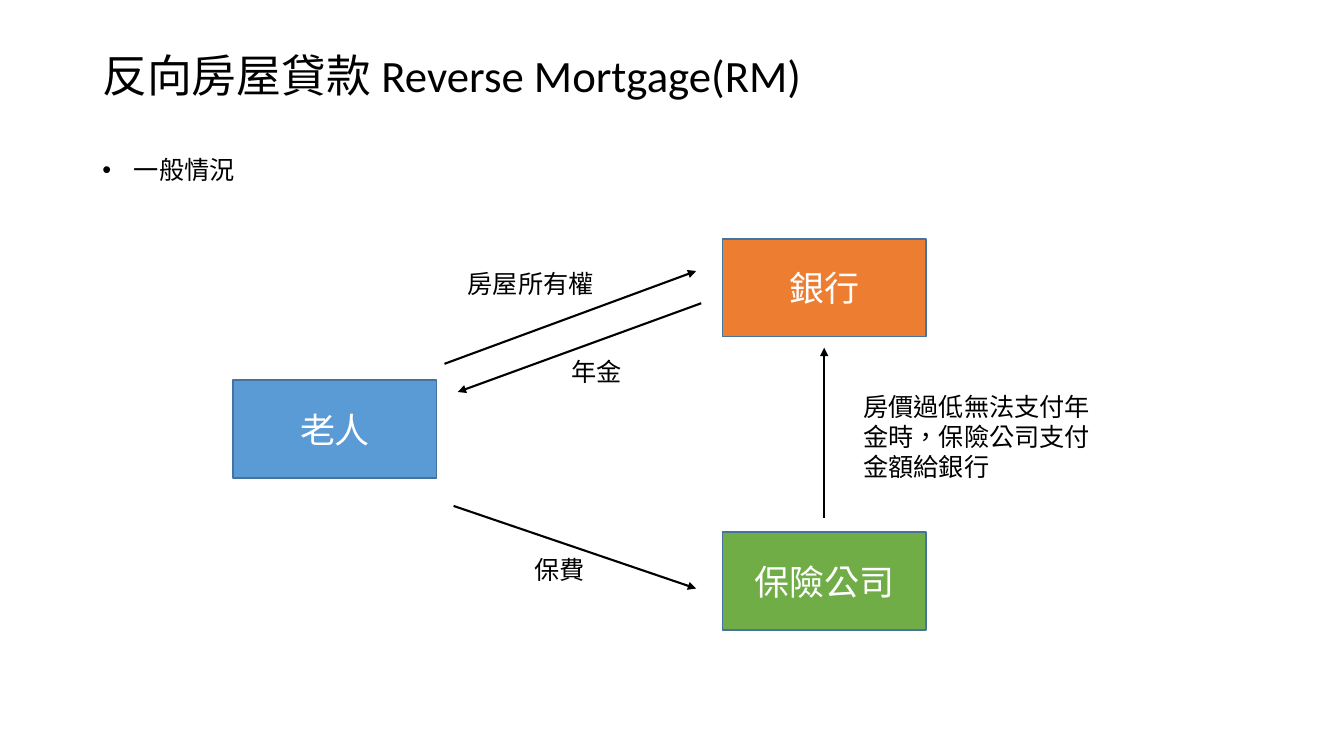
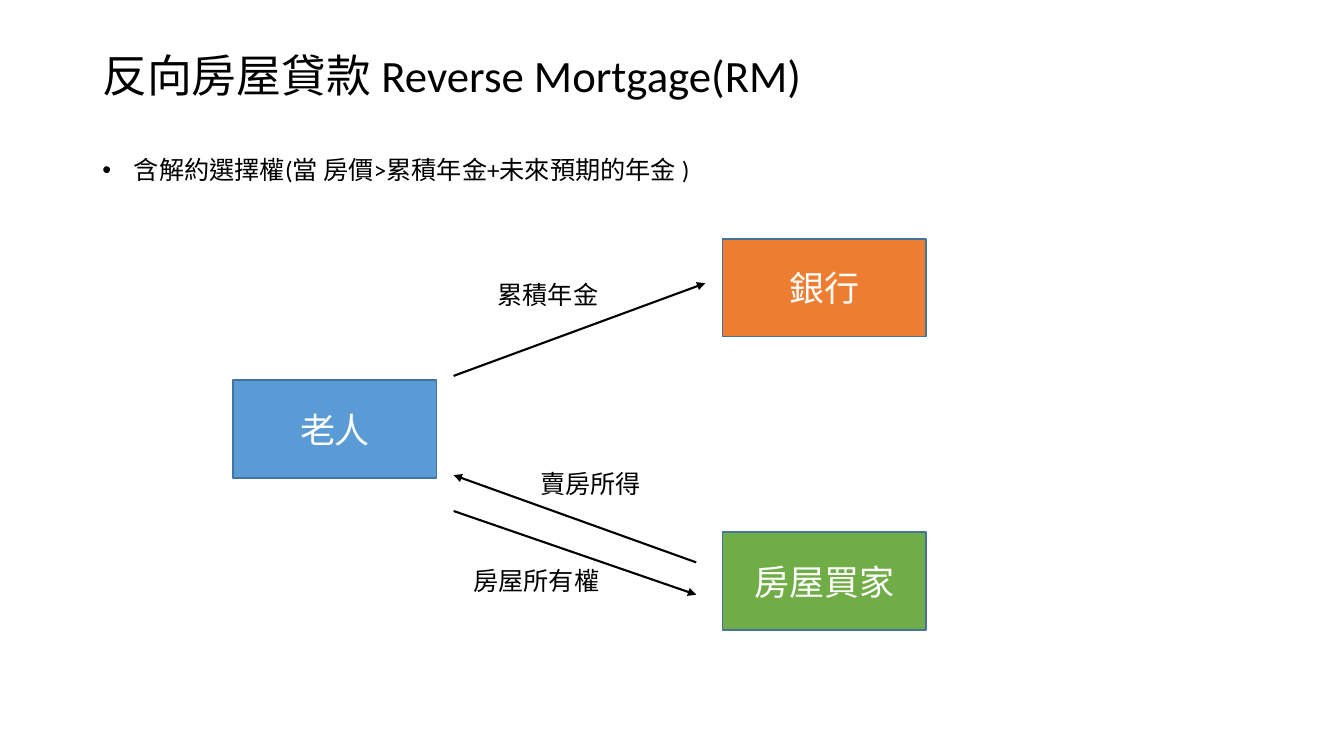
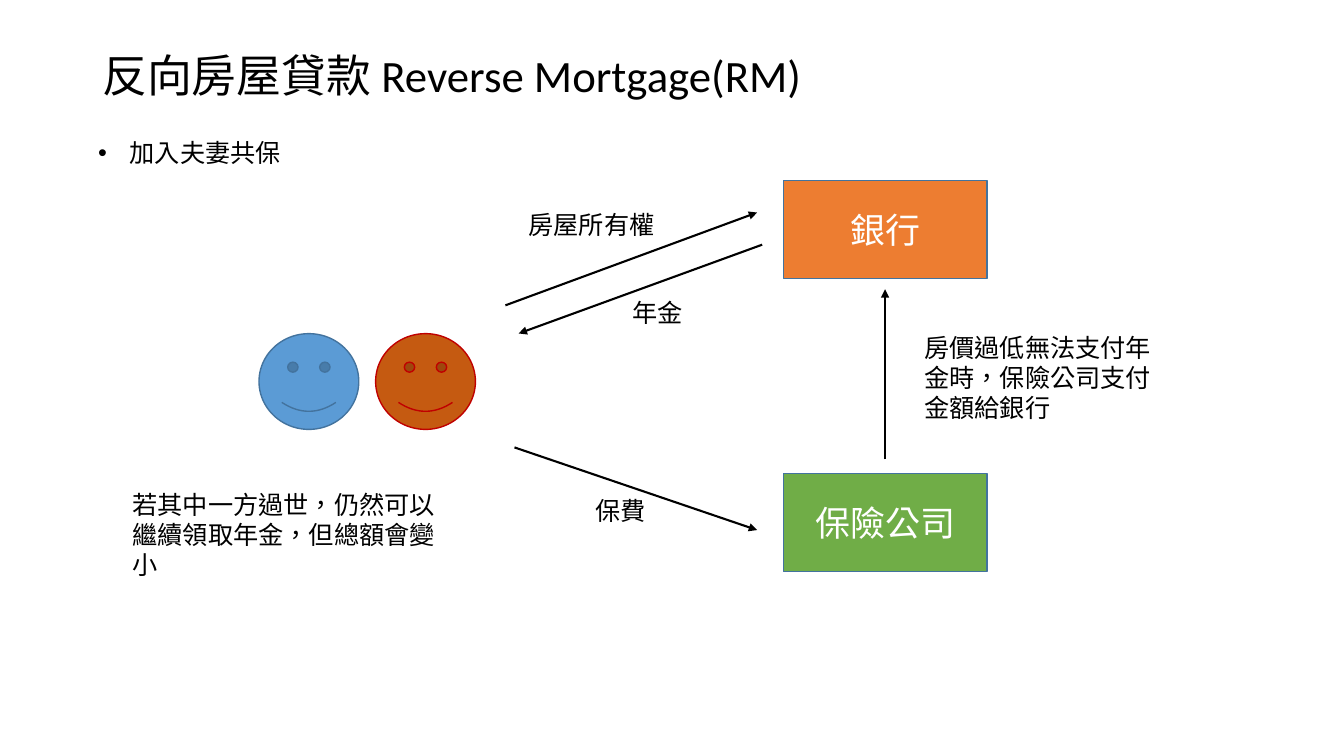
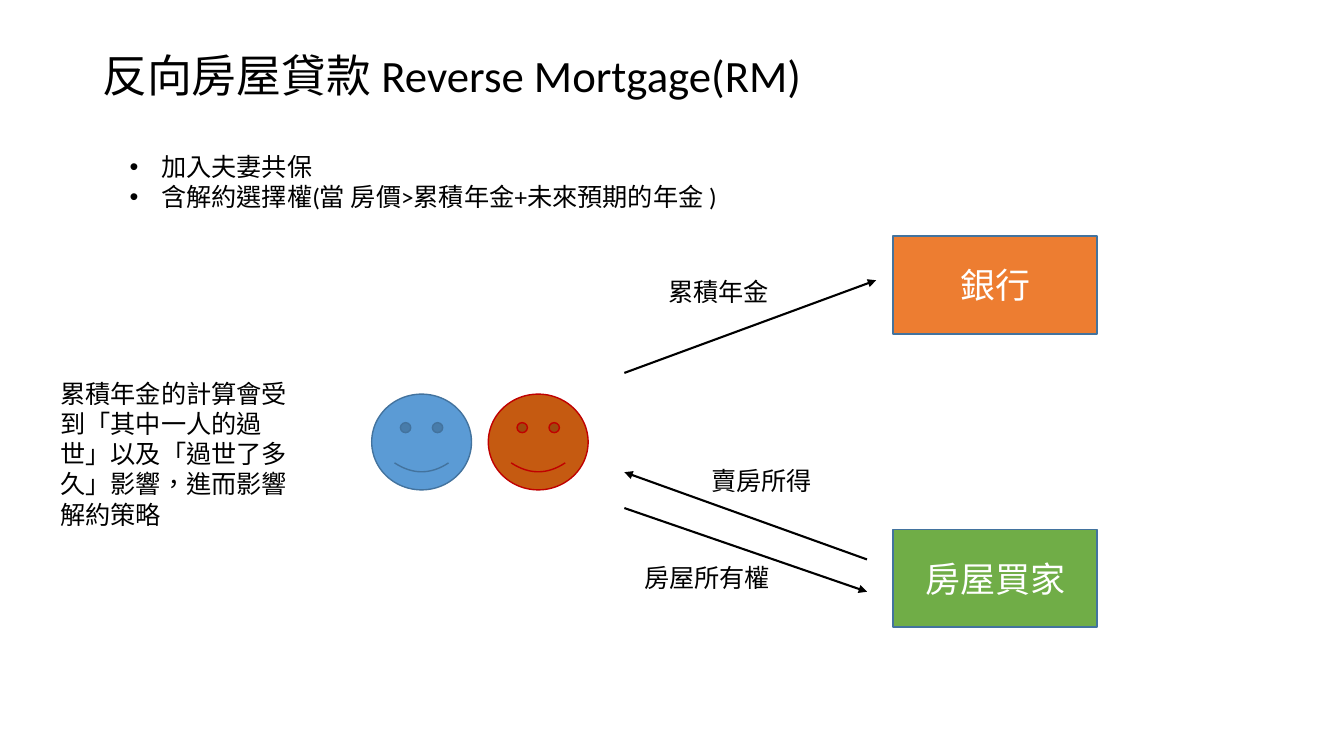
from lxml import etree
from pptx import Presentation
from pptx.dml.color import RGBColor
from pptx.enum import lang, shapes, text
from pptx.oxml.ns import qn
from pptx.util import Pt

FONT = "Calibri"
BLACK, WHITE = "000000", "FFFFFF"
BLUE, ORANGE, GREEN, RUST = "5B9BD5", "ED7D31", "70AD47", "C55A11"
BLUE_EDGE, RED_EDGE = "43739E", "C00000"

TITLE = "反向房屋貸款 Reverse Mortgage(RM)"
COUPLE = "加入夫妻共保"
CANCEL_OPTION = "含解約選擇權(當 房價>累積年金+未來預期的年金 )"

BOX_W, BOX_H = 145.5, 70
PARTNER_DROP = 209.5      # from the bank down to the third party
FACE_W, FACE_H, FACE_PITCH = 71.3, 68.4, 83.3
BULLET_INDENT = 22.5
LABEL_W = 111.6
LINE_H = 29


def color(value):
    return RGBColor.from_string(value)


def write(frame, *lines, size=18, ink=BLACK, align=None,
          anchor=text.MSO_ANCHOR.TOP, spacing=None, bullet=False):
    """Fill a text frame with one paragraph per line."""
    frame.word_wrap = True
    frame.vertical_anchor = anchor
    for index, line in enumerate(lines):
        paragraph = frame.paragraphs[0] if index == 0 else frame.add_paragraph()
        if bullet:
            props = paragraph._p.get_or_add_pPr()
            props.set("marL", str(Pt(BULLET_INDENT)))
            props.set("indent", str(-Pt(BULLET_INDENT)))
            etree.SubElement(props, qn("a:buFont"), typeface="Arial")
            etree.SubElement(props, qn("a:buChar"), char="•")
        paragraph.alignment = align
        if spacing:
            paragraph.line_spacing = spacing
        run = paragraph.add_run()
        run.text = line
        run.font.name = FONT
        run.font.size = Pt(size)
        run.font.color.rgb = color(ink)
        run.font.language_id = lang.MSO_LANGUAGE_ID.TRADITIONAL_CHINESE


def add_text(slide, x, y, width, *lines, height=LINE_H, **style):
    box = slide.shapes.add_textbox(Pt(x), Pt(y), Pt(width), Pt(height))
    write(box.text_frame, *lines, **style)


def add_figure(slide, preset, x, y, width, height, fill, edge):
    figure = slide.shapes.add_shape(preset, Pt(x), Pt(y), Pt(width), Pt(height))
    figure.shadow.inherit = False
    figure.fill.solid()
    figure.fill.fore_color.rgb = color(fill)
    figure.line.color.rgb = color(edge)
    figure.line.width = Pt(1)
    return figure


def add_party(slide, x, y, name, fill):
    party = add_figure(slide, shapes.MSO_SHAPE.RECTANGLE, x, y, BOX_W, BOX_H,
                       fill, BLUE_EDGE)
    write(party.text_frame, name, size=25, ink=WHITE,
          align=text.PP_ALIGN.CENTER, anchor=text.MSO_ANCHOR.MIDDLE)


def add_couple(slide, x, y):
    for index, (fill, edge) in enumerate([(BLUE, BLUE_EDGE), (RUST, RED_EDGE)]):
        add_figure(slide, shapes.MSO_SHAPE.SMILEY_FACE, x + index * FACE_PITCH, y,
                   FACE_W, FACE_H, fill, edge)


def add_arrow(slide, x1, y1, x2, y2):
    arrow = slide.shapes.add_connector(shapes.MSO_CONNECTOR.STRAIGHT,
                                       Pt(x1), Pt(y1), Pt(x2), Pt(y2))
    arrow.line.color.rgb = color(BLACK)
    arrow.line.width = Pt(1.5)
    etree.SubElement(arrow.line._get_or_add_ln(), qn("a:tailEnd"), type="triangle")
    etree.SubElement(arrow._element.spPr, qn("a:effectLst"))


def add_flow(slide, x, y, partner, arrows, labels):
    """Draw bank, partner, arrows and labels, all placed from the bank's corner."""
    add_party(slide, x, y, "銀行", ORANGE)
    add_party(slide, x, y + PARTNER_DROP, partner, GREEN)
    for x1, y1, x2, y2 in arrows:
        add_arrow(slide, x + x1, y + y1, x + x2, y + y2)
    for dx, dy, label in labels:
        add_text(slide, x + dx, y + dy, LABEL_W, label)


def add_insured_flow(slide, x, y):
    add_flow(slide, x, y, "保險公司",
             arrows=[(-198.5, 89.3, -18.7, 23), (-15.1, 46, -189, 109.4),
                     (-192, 190.8, -18.7, 249.8), (72.7, 199.4, 72.7, 77.8)],
             labels=[(-189, 17.3, "房屋所有權"), (-115, 80, "年金"),
                     (-141.5, 221.8, "保費")])
    add_text(slide, x + 93.6, y + 105, 190.8,
             "房價過低無法支付年金時，保險公司支付金額給銀行", height=72.7)


def add_cancel_flow(slide, x, y):
    add_flow(slide, x, y, "房屋買家",
             arrows=[(-192, 97.9, -12.2, 31.7), (-192, 194.4, -18.7, 254.2),
                     (-18.7, 231.1, -192, 168.8)],
             labels=[(-185, 229.9, "房屋所有權"), (-137.2, 160.6, "賣房所得"),
                     (-167.8, 25.2, "累積年金")])


def add_elder(slide):
    add_party(slide, 166.5, 271.5, "老人", BLUE)


def add_titled_slide(deck):
    slide = deck.slides.add_slide(deck.slide_layouts[6])
    add_text(slide, 66, 21, 828, TITLE, height=69, size=32, spacing=0.9,
             anchor=text.MSO_ANCHOR.MIDDLE)
    return slide


def main():
    deck = Presentation()
    deck.slide_width, deck.slide_height = Pt(960), Pt(540)

    general = add_titled_slide(deck)
    add_text(general, 66, 106.6, 358, "一般情況", bullet=True)
    add_elder(general)
    add_insured_flow(general, 516, 170.6)

    cancel = add_titled_slide(deck)
    add_text(cancel, 66, 106.6, 450, CANCEL_OPTION, bullet=True)
    add_elder(cancel)
    add_cancel_flow(cancel, 516, 170.6)

    couple = add_titled_slide(deck)
    add_text(couple, 63, 94.7, 358, COUPLE, bullet=True)
    add_couple(couple, 185, 238.3)
    add_text(couple, 87.6, 345.6, 232, "若其中一方過世，仍然可以繼續領取年金，但總額會變小",
             height=72.7)
    add_insured_flow(couple, 559.5, 128.8)

    couple_cancel = add_titled_slide(deck)
    add_text(couple_cancel, 85.5, 104.5, 481, COUPLE, CANCEL_OPTION,
             height=72.7, bullet=True)
    add_couple(couple_cancel, 265.5, 281.5)
    add_text(couple_cancel, 36, 266.4, 192,
             "累積年金的計算會受到「其中一人的過世」以及「過世了多久」影響，進而影響解約策略",
             height=116.6)
    add_cancel_flow(couple_cancel, 638, 168.5)

    deck.save("out.pptx")


if __name__ == "__main__":
    main()
